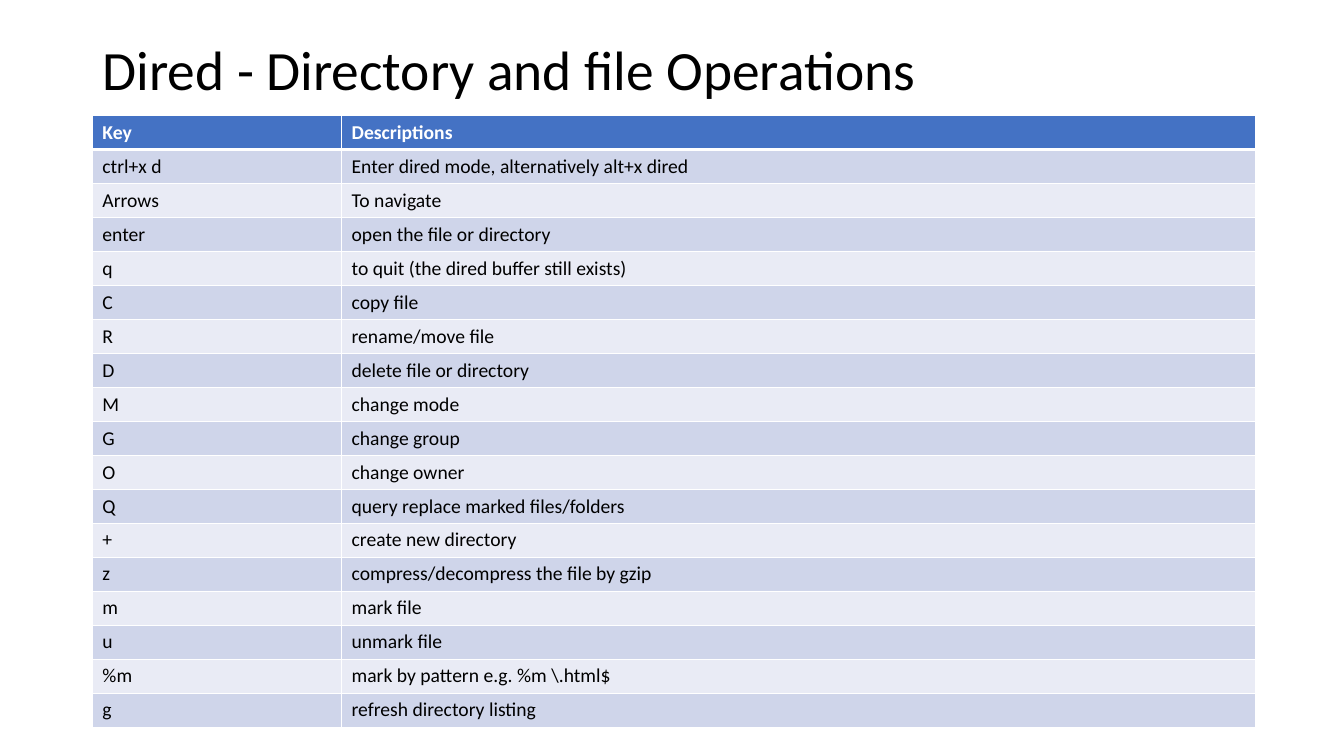
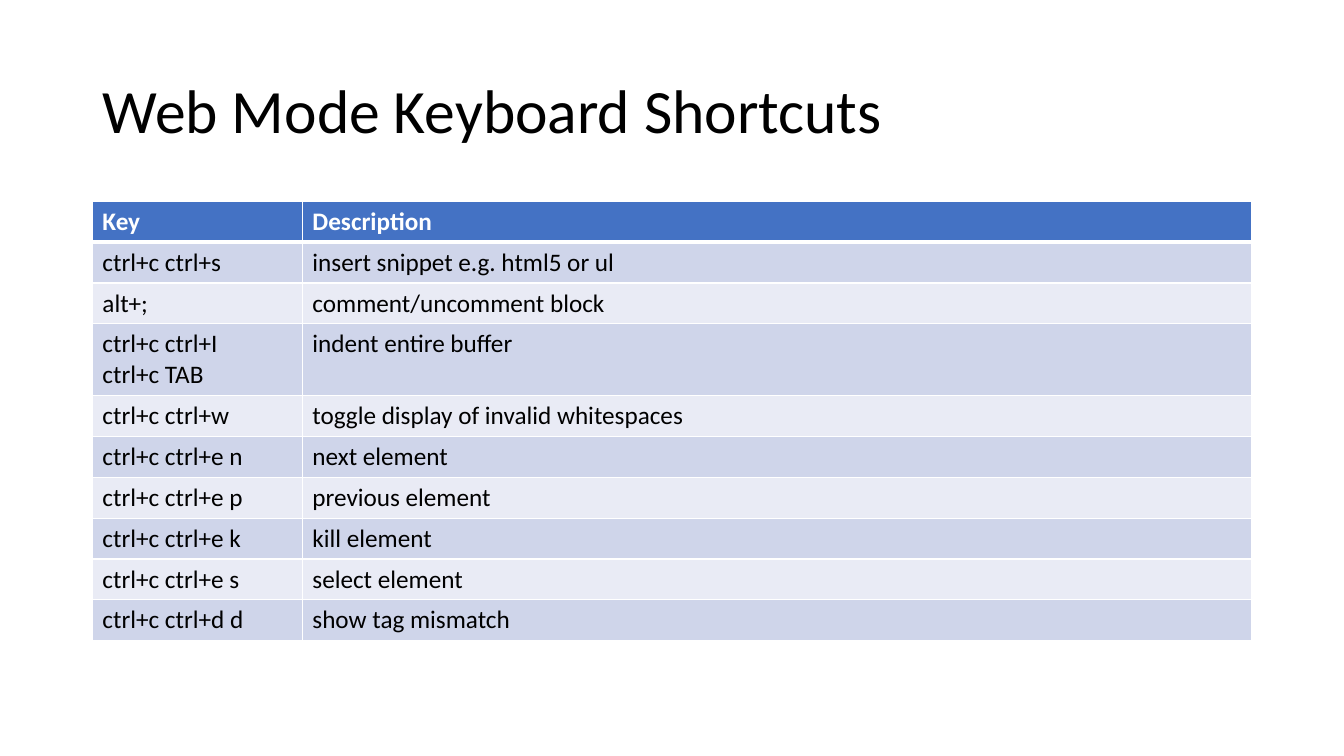
from dataclasses import dataclass

from lxml import etree
from pptx import Presentation
from pptx.dml.color import RGBColor
from pptx.enum import text
from pptx.oxml import ns
from pptx.util import Pt


# Theme: colours, type and shared measures
@dataclass(frozen=True)
class Theme:
    font: str = "Calibri"
    ink: str = "000000"
    paper: str = "FFFFFF"
    header: str = "4472C4"
    bands: tuple = ("CFD5EA", "E9EBF5")
    left: float = 66
    title_top: float = 28.75
    title_width: float = 828
    rule: float = 1
    header_rule: float = 3


def apply_format(target, values):
    for name, value in values.items():
        setattr(target, name, value)


class Deck:
    def __init__(self, theme):
        self.theme = theme
        self.prs = Presentation()
        apply_format(self.prs, {"slide_width": Pt(960), "slide_height": Pt(540)})
        self.slide = None

    def style_font(self, font, size, colour, bold=False):
        apply_format(font, {"name": self.theme.font, "size": Pt(size), "bold": bold})
        font.color.rgb = RGBColor.from_string(colour)

    def add_slide(self, heading, size, height):
        self.slide = self.prs.slides.add_slide(self.prs.slide_layouts[5])
        title = self.slide.shapes.title
        apply_format(title, {
            "left": Pt(self.theme.left), "top": Pt(self.theme.title_top),
            "width": Pt(self.theme.title_width), "height": Pt(height)})
        apply_format(title.text_frame, {
            "word_wrap": True, "auto_size": text.MSO_AUTO_SIZE.NONE,
            "vertical_anchor": text.MSO_ANCHOR.MIDDLE})
        paragraph = title.text_frame.paragraphs[0]
        apply_format(paragraph, {
            "text": heading, "alignment": text.PP_ALIGN.LEFT, "line_spacing": 0.9})
        self.style_font(paragraph.font, size, self.theme.ink)

    def add_borders(self, cell, row):
        widths = dict.fromkeys(("L", "R", "T", "B"), self.theme.rule)
        if row < 2:
            widths["B" if row == 0 else "T"] = self.theme.header_rule
        properties = cell._tc.get_or_add_tcPr()
        for side, width in widths.items():
            line = etree.SubElement(properties, ns.qn(f"a:ln{side}"), w=str(Pt(width)))
            fill = etree.SubElement(line, ns.qn("a:solidFill"))
            etree.SubElement(fill, ns.qn("a:srgbClr"), val=self.theme.paper)

    def add_cell(self, cell, row, content, size):
        theme = self.theme
        is_header = row == 0
        self.add_borders(cell, row)
        cell.fill.solid()
        fill = theme.header if is_header else theme.bands[(row - 1) % 2]
        cell.fill.fore_color.rgb = RGBColor.from_string(fill)
        paragraph = cell.text_frame.paragraphs[0]
        paragraph.text = content
        colour = theme.paper if is_header else theme.ink
        for run in paragraph.runs:
            self.style_font(run.font, size, colour, is_header)

    def add_shortcuts(self, entries, top, widths, row_height, size):
        table = self.slide.shapes.add_table(
            len(entries), len(widths), Pt(self.theme.left), Pt(top),
            Pt(sum(widths)), Pt(row_height * len(entries))).table
        for column, width in zip(table.columns, widths):
            column.width = Pt(width)
        for row, entry in enumerate(entries):
            table.rows[row].height = Pt(row_height)
            for column, content in enumerate(entry):
                self.add_cell(table.cell(row, column), row, content, size)


# Content
DIRED_KEYS = [
    ("Key", "Descriptions"),
    ("ctrl+x d", "Enter dired mode, alternatively alt+x dired"),
    ("Arrows", "To navigate"),
    ("enter", "open the file or directory"),
    ("q", "to quit (the dired buffer still exists)"),
    ("C", "copy file"),
    ("R", "rename/move file"),
    ("D", "delete file or directory"),
    ("M", "change mode"),
    ("G", "change group"),
    ("O", "change owner"),
    ("Q", "query replace marked files/folders"),
    ("+", "create new directory"),
    ("z", "compress/decompress the file by gzip"),
    ("m", "mark file"),
    ("u", "unmark file"),
    ("%m", r"mark by pattern e.g. %m \.html$"),
    ("g", "refresh directory listing"),
]

WEB_MODE_KEYS = [
    ("Key", "Description"),
    ("ctrl+c ctrl+s", "insert snippet e.g. html5 or ul"),
    ("alt+;", "comment/uncomment block"),
    ("ctrl+c ctrl+I\nctrl+c TAB", "indent entire buffer"),
    ("ctrl+c ctrl+w", "toggle display of invalid whitespaces"),
    ("ctrl+c ctrl+e n", "next element"),
    ("ctrl+c ctrl+e p", "previous element"),
    ("ctrl+c ctrl+e k", "kill element"),
    ("ctrl+c ctrl+e s", "select element"),
    ("ctrl+c ctrl+d d", "show tag mismatch"),
]


def main():
    deck = Deck(Theme())

    # Dired
    deck.add_slide("Dired - Directory and file Operations", size=39.6, height=46.8)
    deck.add_shortcuts(DIRED_KEYS, top=82.6, widths=(178, 653), row_height=24, size=14)

    # Web mode
    deck.add_slide("Web Mode Keyboard Shortcuts", size=44, height=104.4)
    deck.add_shortcuts(WEB_MODE_KEYS, top=143.75, widths=(150, 678),
                       row_height=29.2, size=18)

    deck.prs.save("out.pptx")


if __name__ == "__main__":
    main()
